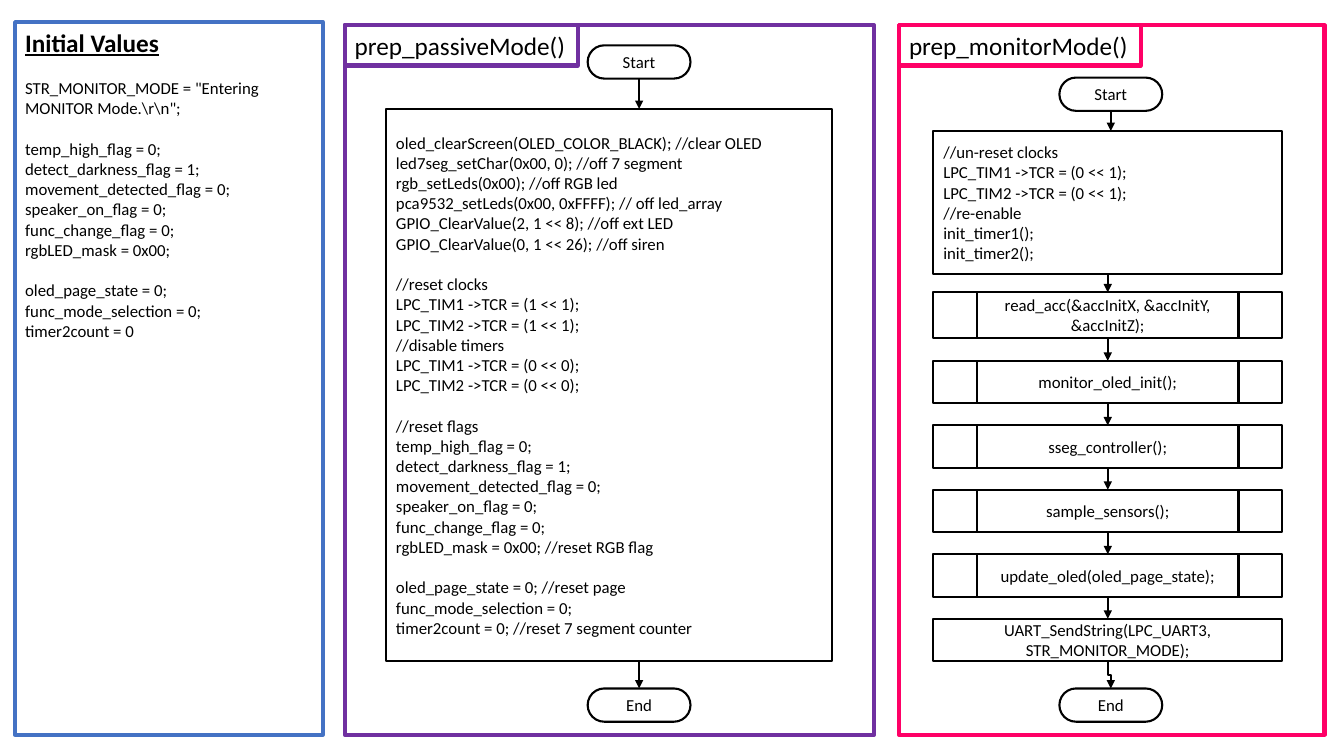
from dataclasses import dataclass
from itertools import pairwise

from lxml.etree import SubElement
from pptx import Presentation
from pptx.dml.color import RGBColor
from pptx.enum.shapes import MSO_CONNECTOR, MSO_SHAPE
from pptx.enum.text import MSO_ANCHOR, MSO_AUTO_SIZE, PP_ALIGN
from pptx.oxml.ns import qn
from pptx.shapes.autoshape import Shape
from pptx.shapes.connector import Connector
from pptx.slide import Slide
from pptx.util import Inches, Pt

BLACK = RGBColor(0x00, 0x00, 0x00)
WHITE = RGBColor(0xFF, 0xFF, 0xFF)
BLUE = RGBColor(0x44, 0x72, 0xC4)
PURPLE = RGBColor(0x70, 0x30, 0xA0)
PINK = RGBColor(0xFF, 0x00, 0x66)

FONT = "Calibri"
SLIDE_W, SLIDE_H = Inches(13.33), Inches(7.5)
LINE_GAP = Pt(14.65)  # height of one 12 pt line

Groups = list[list[str]]


@dataclass(frozen=True)
class Box:
    """Left, top, width and height in percent of the slide's size."""
    x: float
    y: float
    w: float
    h: float


@dataclass(frozen=True)
class Panel:
    box: Box
    color: RGBColor
    title: str = ""
    tab_w: float = 0


@dataclass(frozen=True)
class Step:
    box: Box
    kind: MSO_SHAPE
    text: Groups
    align: PP_ALIGN = PP_ALIGN.CENTER


PANELS = [
    Panel(Box(25.65, 3.33, 39.38, 93.87), PURPLE, "prep_passiveMode()", 17.33),
    Panel(Box(66.9, 3.33, 31.65, 93.87), PINK, "prep_monitorMode()", 18),
]
INITIAL = Panel(Box(1.13, 2.93, 22.88, 94.27), BLUE)

INITIAL_TEXT: Groups = [
    ["Initial Values"],
    ['STR_MONITOR_MODE = "Entering MONITOR Mode.\\r\\n";'],
    ["temp_high_flag = 0;", "detect_darkness_flag = 1;", "movement_detected_flag = 0;",
     "speaker_on_flag = 0;", "func_change_flag = 0;", "rgbLED_mask = 0x00;"],
    ["oled_page_state = 0; func_mode_selection = 0;", "timer2count = 0"],
]
PASSIVE_TEXT: Groups = [
    ["oled_clearScreen(OLED_COLOR_BLACK); //clear OLED",
     "led7seg_setChar(0x00, 0); //off 7 segment",
     "rgb_setLeds(0x00); //off RGB led",
     "pca9532_setLeds(0x00, 0xFFFF); // off led_array",
     "GPIO_ClearValue(2, 1 << 8); //off ext LED",
     "GPIO_ClearValue(0, 1 << 26); //off siren"],
    ["//reset clocks", "LPC_TIM1 ->TCR = (1 << 1);", "LPC_TIM2 ->TCR = (1 << 1);",
     "//disable timers", "LPC_TIM1 ->TCR = (0 << 0);", "LPC_TIM2 ->TCR = (0 << 0);"],
    ["//reset flags", "temp_high_flag = 0;", "detect_darkness_flag = 1;",
     "movement_detected_flag = 0;", "speaker_on_flag = 0;", "func_change_flag = 0;",
     "rgbLED_mask = 0x00; //reset RGB flag"],
    ["oled_page_state = 0; //reset page", "func_mode_selection = 0;",
     "timer2count = 0; //reset 7 segment counter"],
]
CLOCKS_TEXT: Groups = [
    ["//un-reset clocks", "LPC_TIM1 ->TCR = (0 << 1);", "LPC_TIM2 ->TCR = (0 << 1);",
     "//re-enable", "init_timer1();", "init_timer2();"],
]
CALLS = ["monitor_oled_init();", "sseg_controller();", "sample_sensors();",
         "update_oled(oled_page_state);"]

PASSIVE_X, MONITOR_X = 43.73, 78.83
END_Y = 91.07
STEP_X, STEP_W, STEP_H = 69.45, 25.95, 5.6
CALLS_Y, CALL_PITCH = 47.73, 8.53


def terminator(x: float, y: float, text: str) -> Step:
    return Step(Box(x, y, 7.65, 4.4), MSO_SHAPE.FLOWCHART_TERMINATOR, [[text]])


def call(y: float, text: str, h: float = STEP_H,
         kind: MSO_SHAPE = MSO_SHAPE.FLOWCHART_PREDEFINED_PROCESS) -> Step:
    return Step(Box(STEP_X, y, STEP_W, h), kind, [[text]])


PASSIVE_STEPS = [
    terminator(PASSIVE_X, 6, "Start"),
    Step(Box(28.73, 14.4, 33.15, 73.07), MSO_SHAPE.FLOWCHART_PROCESS, PASSIVE_TEXT,
         PP_ALIGN.LEFT),
    terminator(PASSIVE_X, END_Y, "End"),
]
MONITOR_STEPS = [
    terminator(MONITOR_X, 10.27, "Start"),
    Step(Box(STEP_X, 17.33, STEP_W, 18.93), MSO_SHAPE.FLOWCHART_PROCESS, CLOCKS_TEXT,
         PP_ALIGN.LEFT),
    call(38.67, "read_acc(&accInitX, &accInitY, &accInitZ);", h=6),
    *(call(CALLS_Y + i * CALL_PITCH, text) for i, text in enumerate(CALLS)),
    call(CALLS_Y + len(CALLS) * CALL_PITCH,
         "UART_SendString(LPC_UART3, STR_MONITOR_MODE);", kind=MSO_SHAPE.RECTANGLE),
    terminator(MONITOR_X, END_Y, "End"),
]


def add_box(s: Slide, box: Box, color: RGBColor, width: float,
            kind: MSO_SHAPE = MSO_SHAPE.RECTANGLE) -> Shape:
    sp = s.shapes.add_shape(kind, int(SLIDE_W * box.x / 100), int(SLIDE_H * box.y / 100),
                            int(SLIDE_W * box.w / 100), int(SLIDE_H * box.h / 100))
    sp.shadow.inherit = False
    sp.fill.solid()
    sp.fill.fore_color.rgb = WHITE
    sp.line.color.rgb = color
    sp.line.width = Pt(width)
    return sp


def write(sp: Shape, groups: Groups, align: PP_ALIGN = PP_ALIGN.LEFT, size: float = 12) -> None:
    """Write one paragraph per line, with a line's gap between groups."""
    tf = sp.text_frame
    tf.word_wrap = True
    tf.text = "\n".join(line for group in groups for line in group)
    firsts = [sum(map(len, groups[:i])) for i in range(1, len(groups))]
    for i, p in enumerate(tf.paragraphs):
        p.alignment = align
        if i in firsts:
            p.space_before = LINE_GAP
        for r in p.runs:
            r.font.name, r.font.size = FONT, Pt(size)
            r.font.color.rgb = BLACK


def add_panel(s: Slide, panel: Panel) -> None:
    add_box(s, panel.box, panel.color, 3)
    tab = add_box(s, Box(panel.box.x, panel.box.y, panel.tab_w, 5.33), panel.color, 3)
    write(tab, [[panel.title]], size=18)
    tab.text_frame.vertical_anchor = MSO_ANCHOR.TOP
    tab.text_frame.word_wrap = False
    tab.text_frame.auto_size = MSO_AUTO_SIZE.SHAPE_TO_FIT_TEXT


def add_initial_values(s: Slide) -> None:
    sp = add_box(s, INITIAL.box, INITIAL.color, 3)
    write(sp, INITIAL_TEXT)
    sp.text_frame.vertical_anchor = MSO_ANCHOR.TOP
    font = sp.text_frame.paragraphs[0].runs[0].font
    font.size, font.bold, font.underline = Pt(18), True, True


def center(sp: Shape) -> int:
    return sp.left + sp.width // 2


def style_arrow(c: Connector) -> None:
    c.line.color.rgb = BLACK
    c.line.width = Pt(1.5)
    sp_pr = c._element.spPr
    SubElement(sp_pr.find(qn("a:ln")), qn("a:tailEnd"), type="triangle")
    SubElement(sp_pr, qn("a:effectLst"))


def add_arrow(s: Slide, upper: Shape, lower: Shape, x: int) -> None:
    """Draw a vertical arrow at x, joined to each shape centred there."""
    c = s.shapes.add_connector(MSO_CONNECTOR.STRAIGHT, x, upper.top + upper.height, x, lower.top)
    if center(upper) == x:
        c.begin_connect(upper, 2)
    if center(lower) == x:
        c.end_connect(lower, 0)
    style_arrow(c)


def add_elbow(s: Slide, upper: Shape, lower: Shape) -> None:
    """Draw a down-right-down arrow between shapes with different centres."""
    c = s.shapes.add_connector(MSO_CONNECTOR.ELBOW, 0, 0, 0, 0)
    c.begin_connect(upper, 2)
    c.end_connect(lower, 0)
    run, drop = c.width, c.height
    c.left, c.top = c.left + (run - drop) // 2, c.top + (drop - run) // 2
    c.width, c.height = drop, run
    xfrm = c._element.spPr.find(qn("a:xfrm"))
    xfrm.set("rot", "16200000")
    xfrm.set("flipH", "1")
    style_arrow(c)


def add_steps(s: Slide, steps: list[Step]) -> list[Shape]:
    shapes = []
    for step in steps:
        sp = add_box(s, step.box, BLACK, 1.5, step.kind)
        write(sp, step.text, step.align)
        sp.text_frame.vertical_anchor = MSO_ANCHOR.MIDDLE
        shapes.append(sp)
    return shapes


def main() -> None:
    prs = Presentation()
    prs.slide_width, prs.slide_height = SLIDE_W, SLIDE_H
    s = prs.slides.add_slide(prs.slide_layouts[6])
    add_initial_values(s)
    for panel in PANELS:
        add_panel(s, panel)

    passive = add_steps(s, PASSIVE_STEPS)
    for upper, lower in pairwise(passive):
        add_arrow(s, upper, lower, center(passive[0]))

    monitor = add_steps(s, MONITOR_STEPS)
    for upper, lower in pairwise(monitor[:-1]):
        add_arrow(s, upper, lower, center(upper))
    add_elbow(s, monitor[-2], monitor[-1])
    prs.save("out.pptx")


if __name__ == "__main__":
    main()
